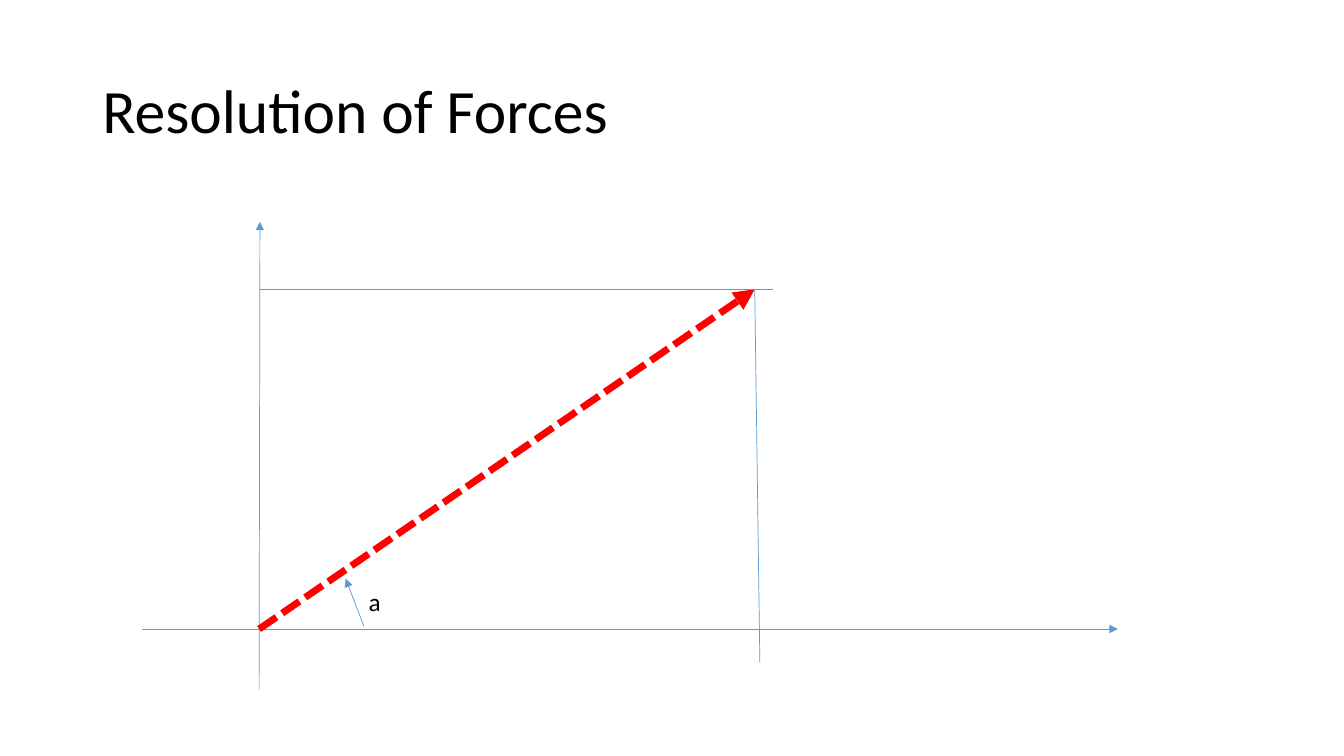
from pptx import Presentation
from pptx.dml.color import RGBColor
from pptx.enum.dml import MSO_LINE
from pptx.enum.shapes import MSO_CONNECTOR
from pptx.enum.text import MSO_ANCHOR, MSO_AUTO_SIZE
from pptx.oxml.xmlchemy import OxmlElement
from pptx.util import Cm, Pt

BLACK = RGBColor(0x00, 0x00, 0x00)
BLUE = RGBColor(0x5B, 0x9B, 0xD5)
RED = RGBColor(0xFF, 0x00, 0x00)


def add_text(slide, text, box, size, wrap=True):
    label = slide.shapes.add_textbox(*(Cm(length) for length in box))
    frame = label.text_frame
    frame.word_wrap = wrap
    paragraph = frame.paragraphs[0]
    paragraph.text = text
    paragraph.font.name = "Calibri"
    paragraph.font.size = Pt(size)
    paragraph.font.color.rgb = BLACK
    return frame


def add_line(slide, start, end, color=BLUE, width=0.5, dash=None, arrow=False):
    connector = slide.shapes.add_connector(
        MSO_CONNECTOR.STRAIGHT, *(Cm(value) for value in (*start, *end)))
    connector.line.color.rgb = color
    connector.line.width = Pt(width)
    if dash is not None:
        connector.line.dash_style = dash
    if arrow:
        tail = OxmlElement("a:tailEnd")
        tail.set("type", "triangle")
        connector.line._get_or_add_ln().append(tail)
    connector._element.spPr.append(OxmlElement("a:effectLst"))


def add_title(slide, box):
    frame = add_text(slide, "Resolution of Forces", box, 44)
    frame.vertical_anchor = MSO_ANCHOR.MIDDLE
    frame.paragraphs[0].line_spacing = 0.9


def add_force_diagram(slide, left, top, width, height):
    """Draw the axes, the force, its two projections and its angle."""
    def at(x, y):
        return left + x, top + y

    axis_y = 10.26
    origin = at(2.95, axis_y)
    y_axis_x = 2.97
    tip_x, tip_y = 15.44, 1.7
    tip = at(tip_x, tip_y)

    add_line(slide, at(0, axis_y), at(width, axis_y), arrow=True)
    add_line(slide, at(2.95, height), at(y_axis_x, 0), arrow=True)
    add_line(slide, origin, tip, RED, 5, MSO_LINE.SQUARE_DOT, arrow=True)
    add_line(slide, at(y_axis_x, tip_y), at(tip_x + 0.46, tip_y))
    add_line(slide, at(tip_x + 0.13, axis_y + 0.84), tip)

    add_line(slide, at(5.59, axis_y - 0.07), at(5.13, 8.99), arrow=True)
    angle = add_text(slide, "a", (*at(5.46, 9.07), 0.81, 1.02), 18, wrap=False)
    angle.auto_size = MSO_AUTO_SIZE.SHAPE_TO_FIT_TEXT


def main():
    deck = Presentation()
    deck.slide_width, deck.slide_height = Cm(33.87), Cm(19.05)
    slide = deck.slides.add_slide(deck.slide_layouts[6])
    add_title(slide, (2.33, 1.01, 29.21, 3.68))
    add_force_diagram(slide, 3.58, 5.59, 24.59, 11.79)
    deck.save("out.pptx")


if __name__ == "__main__":
    main()
